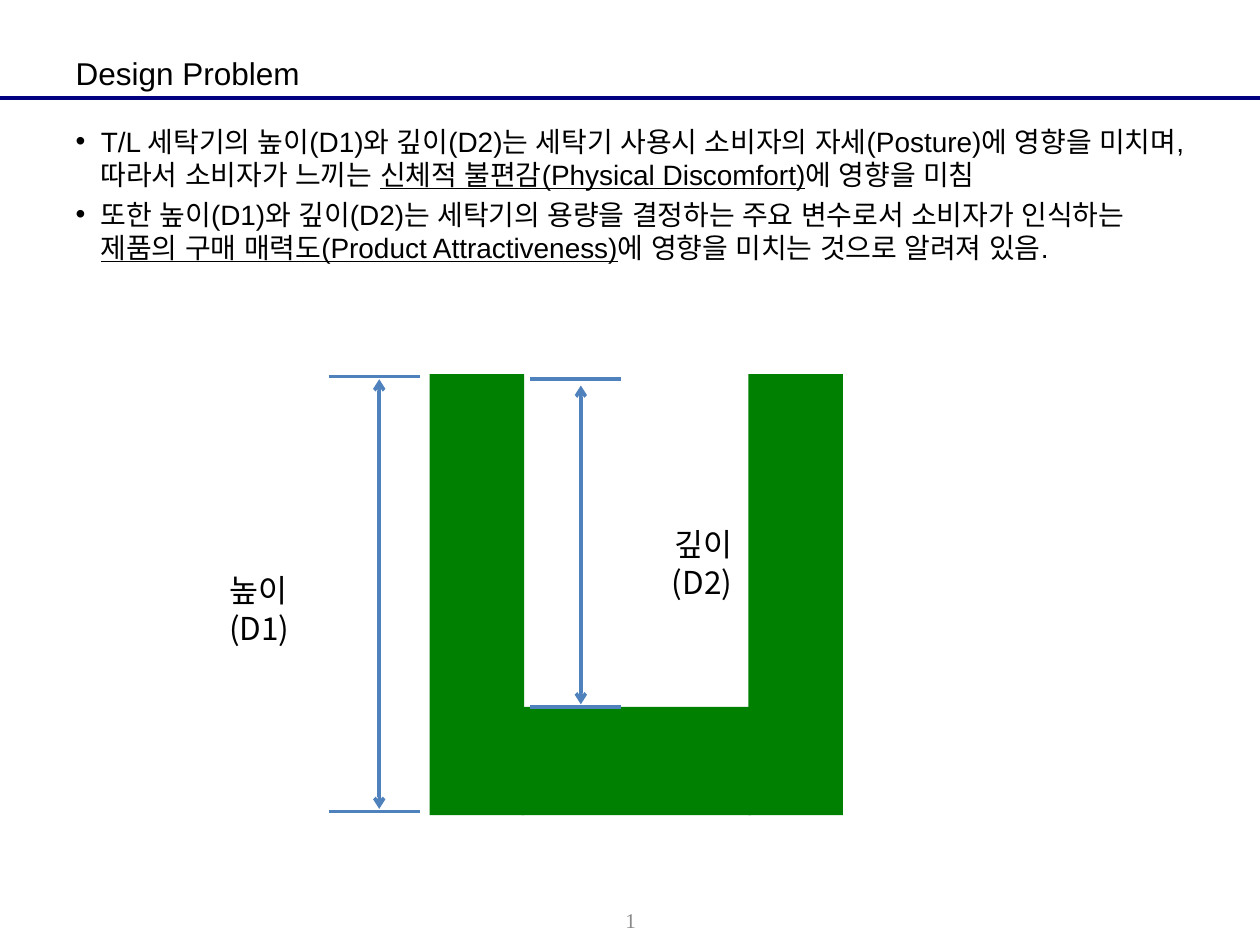
from dataclasses import dataclass

from lxml.etree import SubElement
from pptx import Presentation
from pptx.dml.color import RGBColor as RGB
from pptx.enum.shapes import MSO_CONNECTOR as LINE, MSO_SHAPE as SHAPE
from pptx.enum.text import MSO_ANCHOR as ANCHOR, MSO_AUTO_SIZE as FIT, PP_ALIGN as ALIGN
from pptx.oxml.ns import qn
from pptx.util import Inches, Pt


@dataclass(frozen=True)
class Theme:
    ink: RGB = RGB(0, 0, 0)
    navy: RGB = RGB(0, 0, 0x80)
    green: RGB = RGB(0, 0x80, 0)
    blue: RGB = RGB(0x4F, 0x81, 0xBD)
    grey: RGB = RGB(0x89, 0x89, 0x89)
    latin: str = "Arial"
    hangul: str = "Noto Sans CJK KR"
    serif: str = "Times New Roman"
    head: int = 18
    body: int = 16
    label: int = 18
    foot: int = 12


T = Theme()

POINTS = [
    ("T/L 세탁기의 높이(D1)와 깊이(D2)는 세탁기 사용시 소비자의 자세(Posture)에 영향을 미치며, "
     "따라서 소비자가 느끼는 ",
     "신체적 불편감(Physical Discomfort)", "에 영향을 미침"),
    ("또한 높이(D1)와 깊이(D2)는 세탁기의 용량을 결정하는 주요 변수로서 소비자가 인식하는 ",
     "제품의 구매 매력도(Product Attractiveness)", "에 영향을 미치는 것으로 알려져 있음."),
]


def place(shape, box):
    shape.left, shape.top, shape.width, shape.height = map(Inches, box)


def frame(shape, left=0.1, right=0.1, anchor=ANCHOR.TOP):
    tf = shape.text_frame
    tf.word_wrap, tf.auto_size, tf.vertical_anchor = True, FIT.NONE, anchor
    tf.margin_left, tf.margin_right = Inches(left), Inches(right)
    tf.margin_top = tf.margin_bottom = Inches(0.05)
    return tf


def write(para, text, size=T.body, font=T.latin, color=T.ink, under=False,
          align=ALIGN.LEFT, pitch=None):
    para.alignment = align
    if pitch:
        para.line_spacing = Pt(pitch)
    run = para.add_run()
    run.text = text
    face = run.font
    face.size, face.name, face.underline = Pt(size), font, under
    face.color.rgb = color
    SubElement(face._element, qn("a:ea")).set("typeface", font)


def bullet(para):
    props = para._p.get_or_add_pPr()
    props.set("marL", str(Inches(0.2)))
    props.set("indent", str(-Inches(0.2)))
    SubElement(props, qn("a:buChar")).set("char", "•")


def line(slide, x1, y1, x2, y2, color=T.blue, width=2, arrows=False):
    rule = slide.shapes.add_connector(LINE.STRAIGHT, *map(Inches, (x1, y1, x2, y2)))
    rule.line.color.rgb, rule.line.width = color, Pt(width)
    if arrows:
        for end in ("headEnd", "tailEnd"):
            SubElement(rule.line._get_or_add_ln(), qn(f"a:{end}")).set("type", "arrow")
    SubElement(rule._element.spPr, qn("a:effectLst"))


def header(slide, box):
    place(slide.shapes.title, box)
    tf = frame(slide.shapes.title, anchor=ANCHOR.MIDDLE)
    write(tf.paragraphs[0], "Design Problem", size=T.head)
    rule = box[1] + box[3]
    line(slide, 0, rule, 10, rule, color=T.navy, width=2.5)


def points(slide, box):
    body = slide.placeholders[1]
    place(body, box)
    tf = frame(body)
    for i, parts in enumerate(POINTS):
        para = tf.add_paragraph() if i else tf.paragraphs[0]
        para.space_before = Pt(4)
        for j, part in enumerate(parts):
            write(para, part, under=j == 1, pitch=18.9)
        bullet(para)


def tub(slide, box):
    """Two walls and a floor, grouped as a U-shaped section."""
    x, y, w, h = box
    wall, floor, lap = 0.75, 0.86, 0.02
    group = slide.shapes.add_group_shape()
    for part in ((x, y, wall, h), (x + w - wall, y, wall, h),
                 (x + wall - lap, y + h - floor, w - 2 * (wall - lap), floor)):
        rect = group.shapes.add_shape(SHAPE.RECTANGLE, *map(Inches, part))
        rect.shadow.inherit = False
        rect.fill.solid()
        rect.fill.fore_color.rgb = T.green
        rect.line.fill.background()


def gauge(slide, box, gap=0.02):
    """A double-headed arrow between two level ticks."""
    x, y, w, h = box
    line(slide, x + 0.4, y + gap, x + 0.4, y + h - 0.02, arrows=True)
    for level in (y, y + h):
        line(slide, x, level, x + w, level)


def label(slide, box, text, align=ALIGN.LEFT):
    """A label kept narrow on its aligned side, so that it takes two lines."""
    near, far = 0.1, box[2] - 0.7
    left, right = (far, near) if align == ALIGN.RIGHT else (near, far)
    tf = frame(slide.shapes.add_textbox(*map(Inches, box)), left, right)
    write(tf.paragraphs[0], text, size=T.label, font=T.hangul, align=align, pitch=21.7)


def footer(slide, box):
    tf = frame(slide.shapes.add_textbox(*map(Inches, box)), anchor=ANCHOR.MIDDLE)
    write(tf.paragraphs[0], "1", size=T.foot, font=T.serif, color=T.grey, align=ALIGN.CENTER)


def main():
    deck = Presentation()
    deck.slide_width, deck.slide_height = Inches(10), Inches(7.5)
    slide = deck.slides.add_slide(deck.slide_layouts[1])
    header(slide, (0.5, 0.38, 9, 0.4))
    points(slide, (0.5, 0.94, 9, 6.09))
    footer(slide, (3.84, 7.1, 2.33, 0.4))
    tub(slide, (3.41, 2.97, 3.28, 3.5))
    gauge(slide, (2.61, 2.99, 0.72, 3.45))
    label(slide, (1.72, 4.48, 1.19, 0.4), "높이(D1)")
    gauge(slide, (4.21, 3.01, 0.72, 2.6), gap=0.05)
    label(slide, (4.72, 4.12, 1.19, 0.4), "깊이(D2)", align=ALIGN.RIGHT)
    deck.save("out.pptx")


if __name__ == "__main__":
    main()
